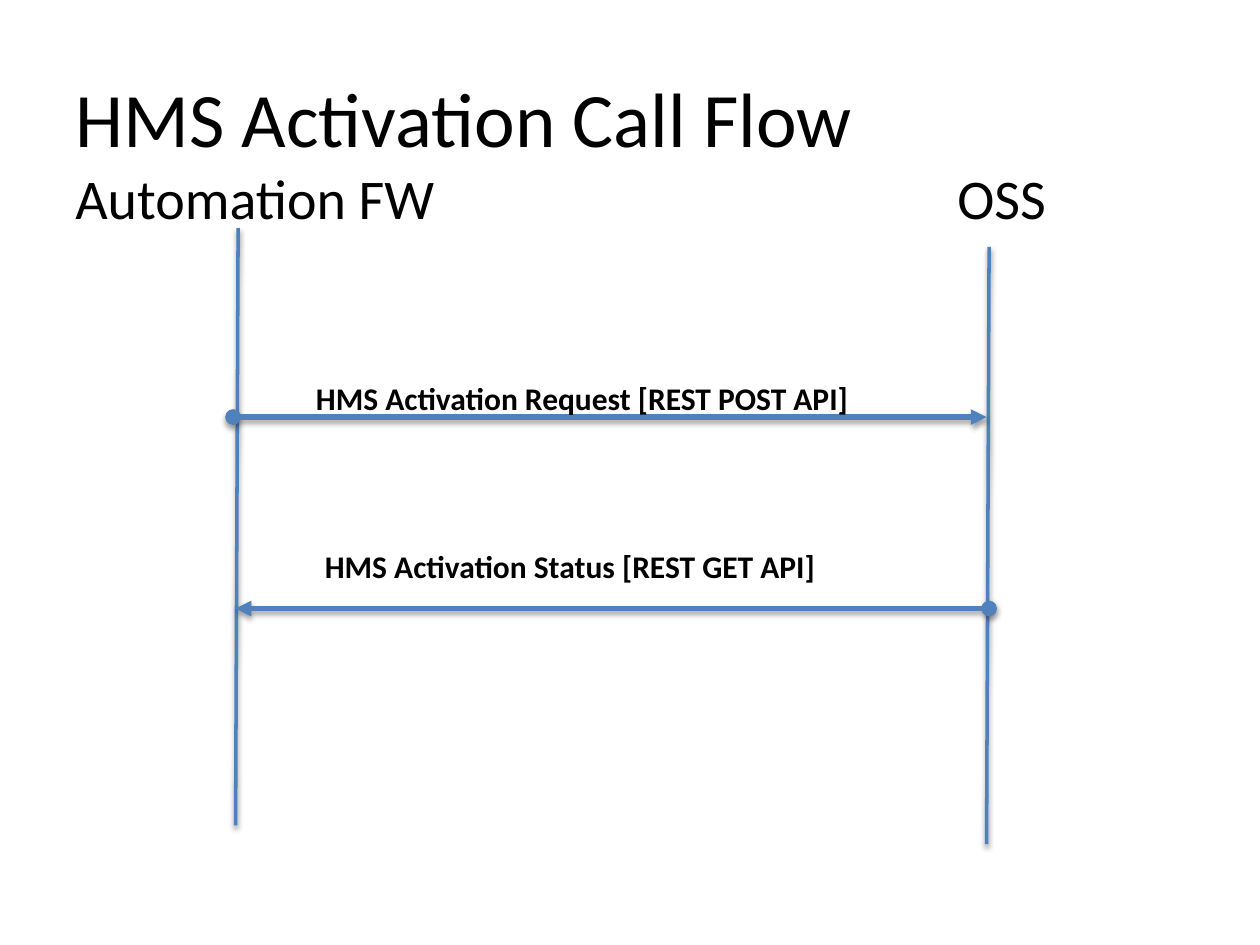
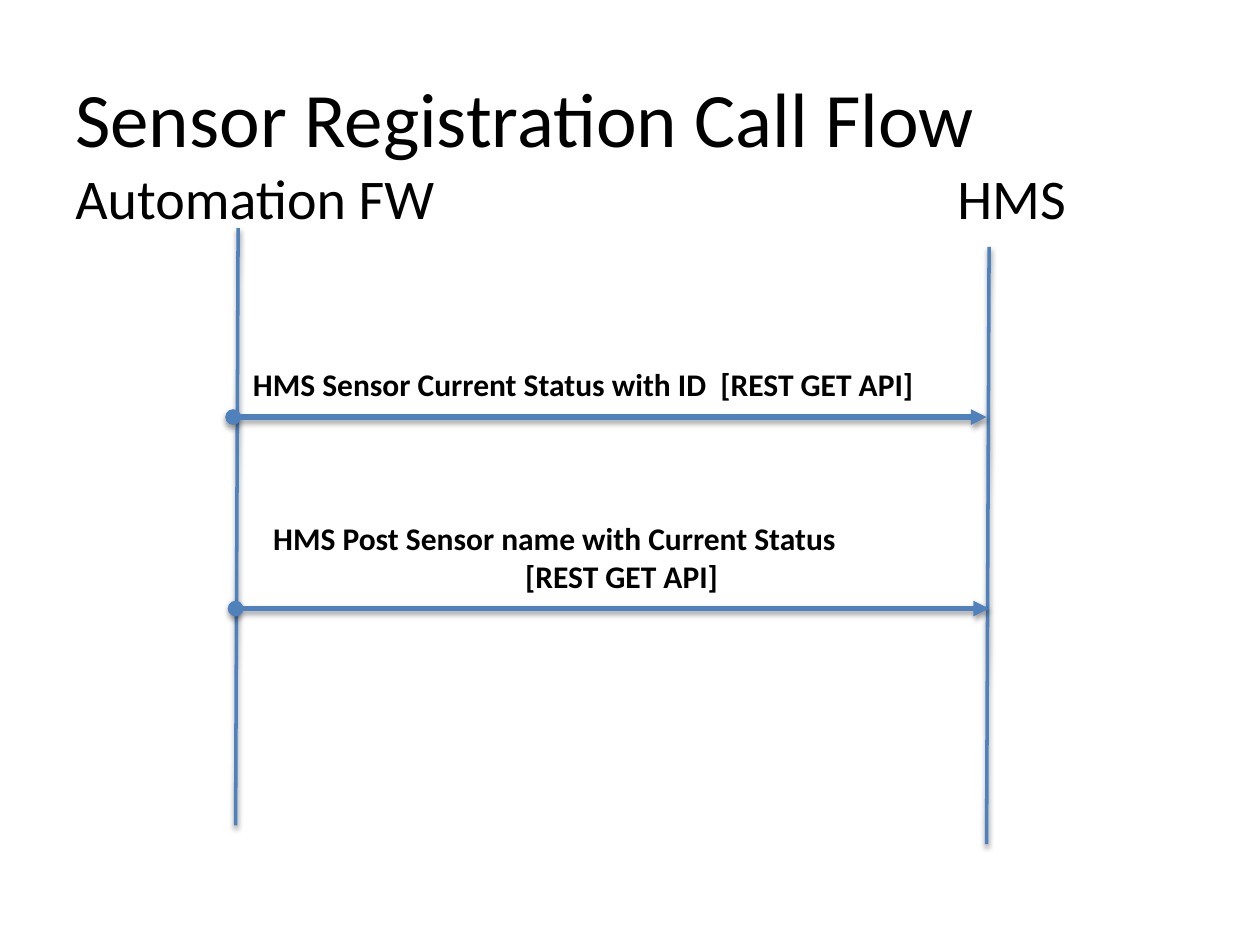
"""Build two call flow slides with lifelines and messages."""
import pptx
import pptx.util
import pptx.dml.color
import pptx.enum.shapes
import pptx.enum.text
import lxml.etree

Inches, Pt = pptx.util.Inches, pptx.util.Pt
BLACK = pptx.dml.color.RGBColor(0x00, 0x00, 0x00)
BLUE = pptx.dml.color.RGBColor(0x4F, 0x81, 0xBD)
NS = "http://schemas.openxmlformats.org/drawingml/2006/main"
SHADOW = (
    f'<a:effectLst xmlns:a="{NS}"><a:outerShdw blurRad="40000" dist="20000" '
    'dir="5400000" rotWithShape="0"><a:srgbClr val="000000">'
    '<a:alpha val="38000"/></a:srgbClr></a:outerShdw></a:effectLst>'
)
BASE = {"name": "Calibri"}
TITLE = {**BASE, "size": Pt(44)}
ACTOR = {**BASE, "size": Pt(32)}
LABEL = {**BASE, "size": Pt(18), "bold": True}
MIDDLE = pptx.enum.text.MSO_ANCHOR.MIDDLE
TOP = pptx.enum.text.MSO_ANCHOR.TOP
STEP = Inches(2)

LIFELINES = [(1.89, 1.81, 1.87, 6.55), (7.85, 1.96, 7.83, 6.7)]
RIGHT, LEFT = ("oval", "triangle"), ("triangle", "oval")
ROWS = [(1.85, 3.31, 7.83, 3.31), (1.87, 4.83, 7.85, 4.83)]

FLOWS = [
    ("HMS Activation Call Flow", "OSS", [
        (RIGHT, (2.41, 2.96, 5.4, 0.4),
         ["HMS Activation Request [REST POST API]"]),
        (LEFT, (2.48, 4.29, 4.65, 0.4),
         ["HMS Activation Status [REST GET API]"]),
    ]),
    ("Sensor Registration Call Flow", "HMS", [
        (RIGHT, (1.91, 2.85, 5.94, 0.4),
         ["HMS Sensor Current Status with ID  [REST GET API]"]),
        (RIGHT, (2.07, 4.07, 5.94, 0.71),
         ["HMS Post Sensor name with Current Status", "[REST GET API]"]),
    ]),
]


def write(slide, box, lines, style, anchor=TOP):
    frame = slide.shapes.add_textbox(*map(Inches, box)).text_frame
    frame.word_wrap = True
    frame.vertical_anchor = anchor
    frame.text = "\n".join(lines)
    for row, para in enumerate(frame.paragraphs):
        para._p.get_or_add_pPr().set("marL", str(row * STEP))
        font = para.runs[0].font
        font.color.rgb = BLACK
        for key, value in style.items():
            setattr(font, key, value)


def draw(slide, ends, width, heads=()):
    kind = pptx.enum.shapes.MSO_CONNECTOR.STRAIGHT
    link = slide.shapes.add_connector(kind, *map(Inches, ends))
    link.line.color.rgb = BLUE
    link.line.width = Pt(width)
    stroke = link.line._get_or_add_ln()
    for tag, head in zip(("headEnd", "tailEnd"), heads):
        lxml.etree.SubElement(stroke, f"{{{NS}}}{tag}", type=head)
    link._element.spPr.append(lxml.etree.fromstring(SHADOW))


deck = pptx.Presentation()
deck.slide_width, deck.slide_height = Inches(10), Inches(7.5)

for title, peer, calls in FLOWS:
    slide = deck.slides.add_slide(deck.slide_layouts[6])
    write(slide, (0.5, 0.3, 9, 1.25), [title], TITLE, MIDDLE)
    write(slide, (0.5, 1.25, 4, 0.64), ["Automation FW"], ACTOR)
    write(slide, (7.5, 1.25, 2, 0.64), [peer], ACTOR)
    for ends in LIFELINES:
        draw(slide, ends, 2)
    for ends, (heads, box, lines) in zip(ROWS, calls):
        draw(slide, ends, 3, heads)
        write(slide, box, lines, LABEL)

deck.save("out.pptx")
